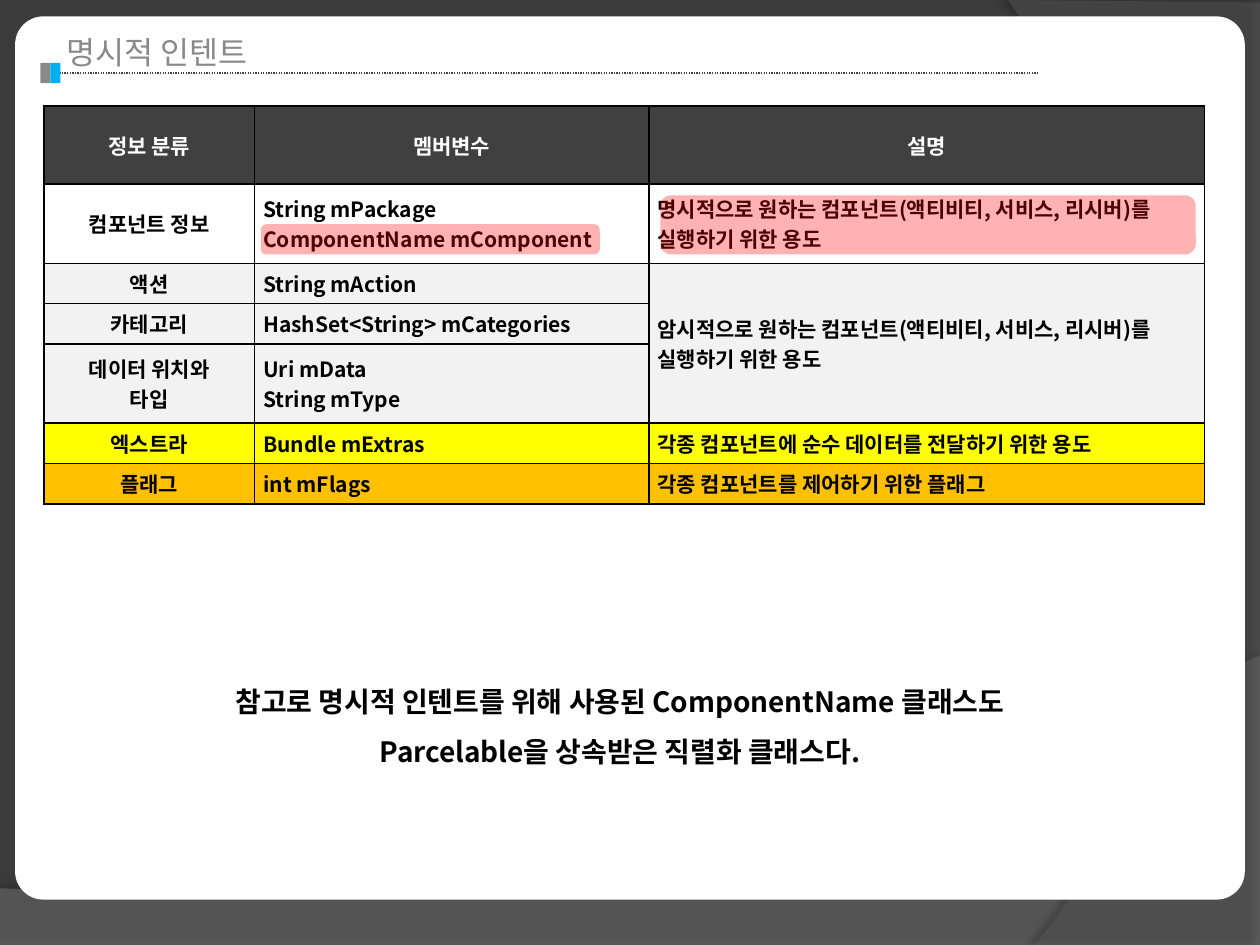
from lxml.etree import SubElement
from pptx import Presentation
from pptx.dml.color import RGBColor
from pptx.enum.dml import MSO_LINE
from pptx.enum.shapes import MSO_CONNECTOR, MSO_SHAPE
from pptx.enum.text import MSO_ANCHOR, PP_ALIGN
from pptx.oxml.ns import qn
from pptx.util import Inches, Pt

BODY_FONT = "Noto Sans CJK KR"
TITLE = "명시적 인텐트"
NOTE = [
    "참고로 명시적 인텐트를 위해 사용된 ComponentName 클래스도",
    "Parcelable을 상속받은 직렬화 클래스다.",
]

COLUMN_WIDTHS = [1.67, 3.13, 4.41]
COLUMN_ALIGNMENTS = [PP_ALIGN.CENTER, PP_ALIGN.JUSTIFY, PP_ALIGN.LEFT]
HEADER = ["정보 분류", "멤버변수", "설명"]
# Row height, fill, cell texts; None continues the cell above.
ROWS = [
    (0.62, "404040", HEADER),
    (0.63, "FFFFFF", ["컴포넌트 정보", "String mPackage\nComponentName mComponent",
                      "명시적으로 원하는 컴포넌트(액티비티, 서비스, 리시버)를 실행하기 위한 용도"]),
    (0.32, "F2F2F2", ["액션", "String mAction",
                      "암시적으로 원하는 컴포넌트(액티비티, 서비스, 리시버)를 실행하기 위한 용도"]),
    (0.32, "F2F2F2", ["카테고리", "HashSet<String> mCategories", None]),
    (0.63, "F2F2F2", ["데이터 위치와\n타입", "Uri mData\nString mType", None]),
    (0.32, "FFFF00", ["엑스트라", "Bundle mExtras",
                      "각종 컴포넌트에 순수 데이터를 전달하기 위한 용도"]),
    (0.32, "FFC000", ["플래그", "int mFlags", "각종 컴포넌트를 제어하기 위한 플래그"]),
]
HIGHLIGHTS = [(2.07, 1.78, 2.69, 0.24), (5.24, 1.55, 4.25, 0.47)]
TITLE_MARKS = [(0.32, "898989"), (0.4, "00B0F0")]


def rgb(color):
    return RGBColor.from_string(color)


def box(values):
    return [Inches(value) for value in values]


def curve(start, control_1, control_2, end, steps=40):
    """Return points along a cubic Bezier curve."""
    points = []
    for step in range(steps + 1):
        t = step / steps
        weights = ((1 - t) ** 3, 3 * t * (1 - t) ** 2, 3 * t * t * (1 - t), t ** 3)
        points.append(tuple(
            sum(weight * value for weight, value in zip(weights, values))
            for values in zip(start, control_1, control_2, end)))
    return points


def set_alpha(shape, percent):
    color = shape.fill._xPr.find(qn("a:solidFill"))[0]
    SubElement(color, qn("a:alpha"), val=str(percent * 1000))


def paint(shape, color, alpha=100):
    shape.shadow.inherit = False
    shape.fill.solid()
    shape.fill.fore_color.rgb = rgb(color)
    shape.line.fill.background()
    if alpha < 100:
        set_alpha(shape, alpha)


def add_backdrop(shapes, points, color, alpha, shadow_alpha, distance, direction):
    corners = [box(point) for point in points]
    builder = shapes.build_freeform(*corners[0], scale=1.0)
    builder.add_line_segments(corners[1:], close=True)
    shape = builder.convert_to_shape()
    paint(shape, color, alpha)
    effects = shape._element.spPr.find(qn("a:effectLst"))
    shadow = SubElement(effects, qn("a:outerShdw"), blurRad=str(Pt(4)),
                        dist=str(Pt(distance)), dir=str(direction * 60000))
    shadow_color = SubElement(shadow, qn("a:srgbClr"), val="000000")
    SubElement(shadow_color, qn("a:alpha"), val=str(shadow_alpha * 1000))


def add_rounded(shapes, place, adjustment, color, alpha=100):
    shape = shapes.add_shape(MSO_SHAPE.ROUNDED_RECTANGLE, *box(place))
    shape.adjustments[0] = adjustment
    paint(shape, color, alpha)


def style_body(paragraph, size, color, alignment):
    paragraph.alignment = alignment
    font = paragraph.font
    font.size, font.bold, font.name = Pt(size), True, BODY_FONT
    font.color.rgb = rgb(color)
    SubElement(font._element, qn("a:ea"), typeface=BODY_FONT)


def add_borders(cell):
    properties = cell._tc.get_or_add_tcPr()
    for side in ("lnL", "lnR", "lnT", "lnB"):
        border = SubElement(properties, qn(f"a:{side}"), w=str(Pt(1)))
        fill = SubElement(border, qn("a:solidFill"))
        SubElement(fill, qn("a:srgbClr"), val="000000")


def add_title(shapes):
    text_box = shapes.add_textbox(*box((0.43, 0.21, 7.8, 0.4)))
    text_box.text_frame.word_wrap = True
    paragraph = text_box.text_frame.paragraphs[0]
    paragraph.text = TITLE
    paragraph.font.size, paragraph.font.name = Pt(18), "Arial"
    paragraph.font.color.rgb = rgb("898989")

    group = shapes.add_group_shape().shapes
    rule = group.add_connector(MSO_CONNECTOR.STRAIGHT, *box((0.43, 0.58, 8.23, 0.58)))
    rule.line.color.rgb = rgb("404040")
    rule.line.width = Pt(0.75)
    rule.line.dash_style = MSO_LINE.ROUND_DOT
    SubElement(rule._element.spPr, qn("a:effectLst"))
    for left, color in TITLE_MARKS:
        mark = group.add_shape(MSO_SHAPE.RECTANGLE, *box((left, 0.5, 0.08, 0.16)))
        paint(mark, color)


def add_member_table(shapes):
    heights = [height for height, _, _ in ROWS]
    place = box((0.35, 0.84, sum(COLUMN_WIDTHS), sum(heights)))
    table = shapes.add_table(len(ROWS), len(COLUMN_WIDTHS), *place).table
    table.first_row = table.horz_banding = False
    for column, width in zip(table.columns, COLUMN_WIDTHS):
        column.width = Inches(width)
    for row_index, (height, fill, texts) in enumerate(ROWS):
        table.rows[row_index].height = Inches(height)
        is_header = texts is HEADER
        for column_index, text in enumerate(texts):
            cell = table.cell(row_index, column_index)
            add_borders(cell)
            cell.fill.solid()
            cell.fill.fore_color.rgb = rgb(fill)
            cell.vertical_anchor = MSO_ANCHOR.MIDDLE
            cell.margin_left = cell.margin_right = Inches(0.07)
            cell.margin_top = cell.margin_bottom = 0
            cell.text = text or ""
            alignment = PP_ALIGN.CENTER if is_header else COLUMN_ALIGNMENTS[column_index]
            for paragraph in cell.text_frame.paragraphs:
                style_body(paragraph, 12, "FFFFFF" if is_header else "000000", alignment)
    continued = [index for index, row in enumerate(ROWS) if row[2][2] is None]
    table.cell(continued[0] - 1, 2).merge(table.cell(continued[-1], 2))


def add_note(shapes):
    frame = shapes.add_textbox(*box((0.43, 5.25, 8.98, 0.86))).text_frame
    frame.word_wrap = True
    frame.text = "\n".join(NOTE)
    for paragraph in frame.paragraphs:
        paragraph.line_spacing = 1.5
        style_body(paragraph, 16, "000000", PP_ALIGN.CENTER)


def main():
    presentation = Presentation()
    presentation.slide_width, presentation.slide_height = Inches(10), Inches(7.5)
    slide = presentation.slides.add_slide(presentation.slide_layouts[6])
    slide.background.fill.solid()
    slide.background.fill.fore_color.rgb = rgb("3B3B3B")
    shapes = slide.shapes

    bottom_wave = [(0, 7.51), (10, 7.51)] + curve((10, 5.2), (5.59, 7.29), (3.91, 7.19), (0, 7.05))
    right_wave = [(10, 0.02), (10, 7.5)] + curve((8.21, 7.5), (9.35, 6.19), (10.18, 3), (8, 0))
    add_backdrop(shapes, bottom_wave, "7F7F7F", 45, 35, 3.5, 270)
    add_backdrop(shapes, right_wave, "5E5E5E", 40, 45, 4, 180)
    add_rounded(shapes, (0.12, 0.13, 9.76, 7.01), 0.032, "FFFFFF")

    add_title(shapes)
    add_member_table(shapes)
    for place in HIGHLIGHTS:
        add_rounded(shapes, place, 0.182, "FF0000", alpha=30)
    add_note(shapes)
    presentation.save("out.pptx")


if __name__ == "__main__":
    main()
